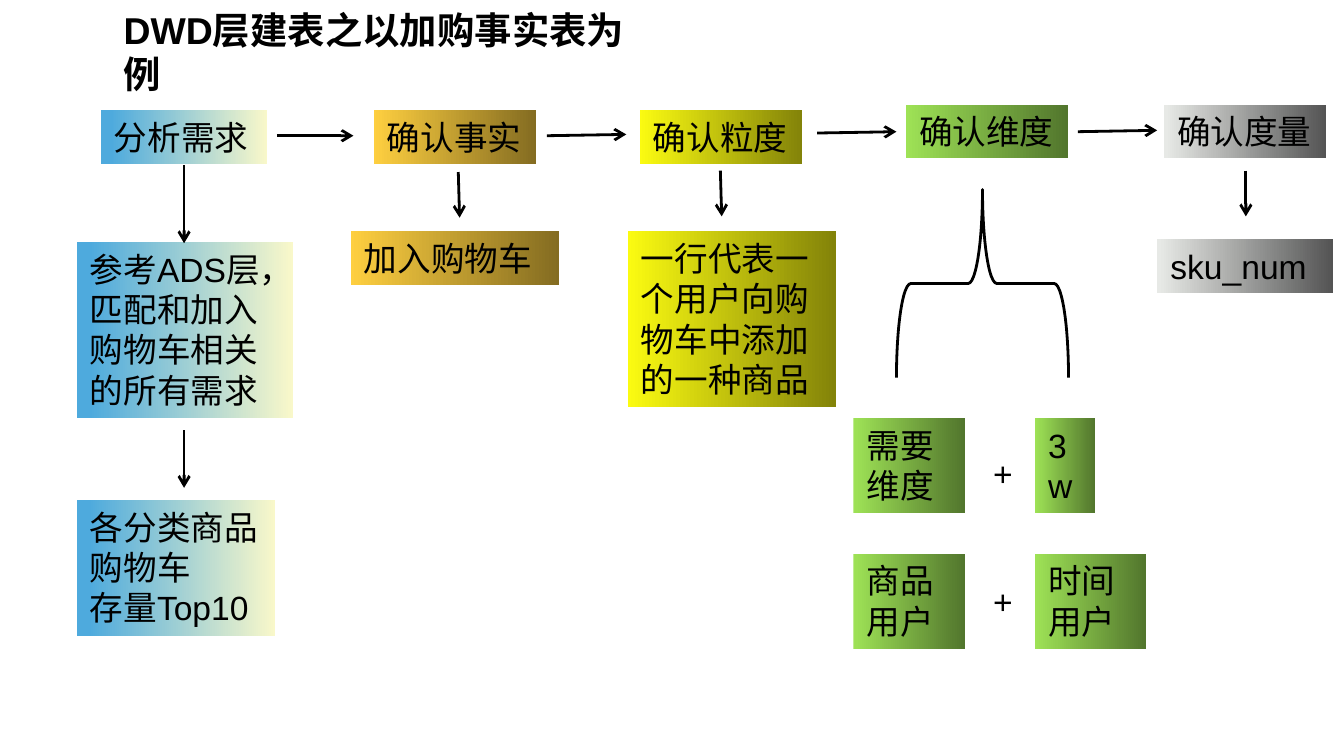
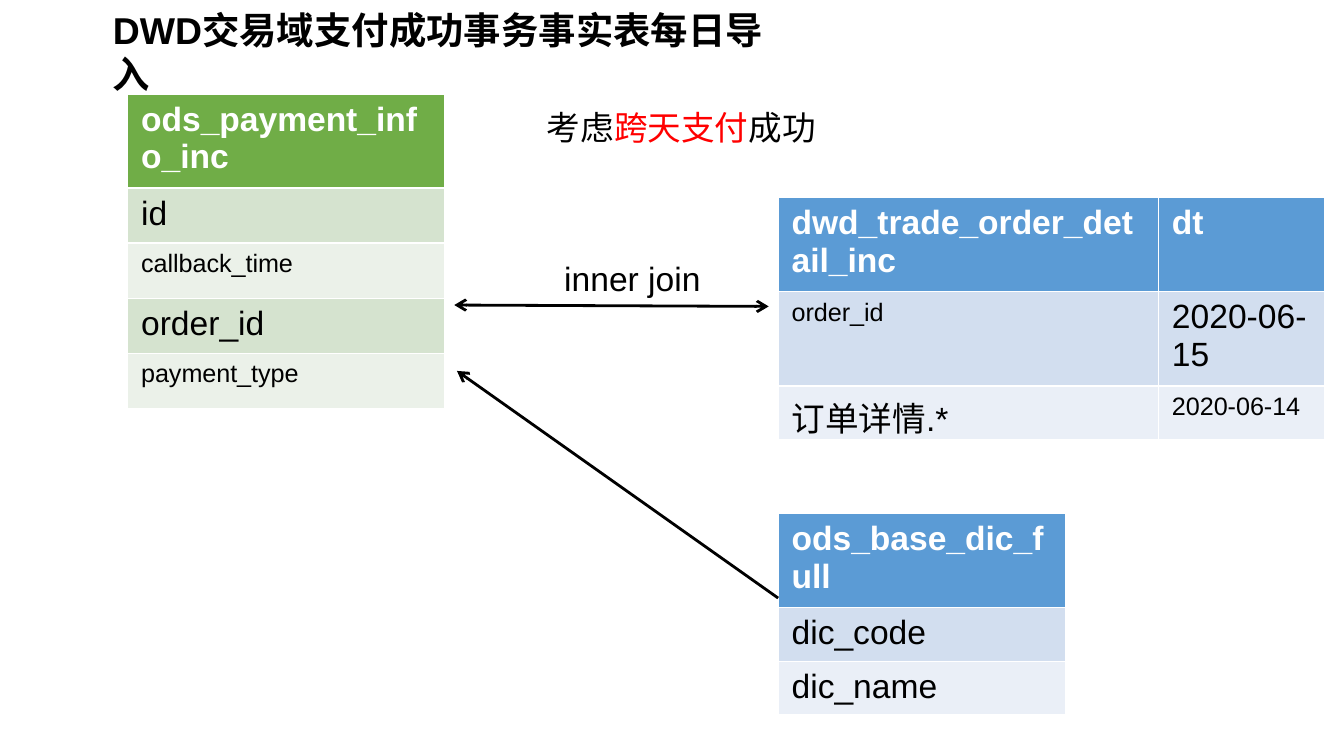
from dataclasses import dataclass
from typing import NamedTuple

from lxml import etree
from pptx import Presentation
from pptx import util as u
from pptx.dml.color import RGBColor
from pptx.enum import shapes, text
from pptx.oxml.ns import qn

COLUMNS, ROWS = 100, 56.25
UNIT = u.Inches(0.1)  # one grid column or row
TITLE_ONLY = 5


class Gradient(NamedTuple):
    start: str
    end: str
    offset: float = 0


class TablePalette(NamedTuple):
    header: str
    bands: tuple[str, str]


@dataclass(frozen=True)
class Theme:
    font: str = "Arial"
    ink: str = "000000"
    paper: str = "FFFFFF"
    accent: str = "FF0000"
    title_size: float = 20
    body_size: float = 18
    small_size: float = 13.5
    line_width: float = 1.5
    demand: Gradient = Gradient("4EAADD", "F9F8CA", 0.06)
    fact: Gradient = Gradient("FECF40", "846C21")
    grain: Gradient = Gradient("FBFB11", "838309")
    dimension: Gradient = Gradient("9EE256", "52762D")
    measure: Gradient = Gradient("E7E9E6", "545454", 0.01)
    green: TablePalette = TablePalette("70AD47", ("D5E3CF", "EBF1E9"))
    blue: TablePalette = TablePalette("5B9BD5", ("D2DEEF", "EAEFF7"))


THEME = Theme()


class Area(NamedTuple):
    """Left, top, width and height in grid columns and rows."""
    left: float
    top: float
    width: float
    height: float


class Box(NamedTuple):
    words: str
    area: Area
    gradient: Gradient | None = None


class Arrow(NamedTuple):
    start: tuple[float, float]
    end: tuple[float, float]
    two_way: bool = False


class Cell(NamedTuple):
    words: str
    small: bool = False


class FieldTable(NamedTuple):
    area: Area
    palette: TablePalette
    column_widths: tuple[float, ...]
    row_heights: tuple[float, ...]
    cells: tuple[tuple[Cell, ...], ...]


def grid(*lengths: float) -> list[int]:
    return [round(length * UNIT) for length in lengths]


def rgb(value: str) -> RGBColor:
    return RGBColor.from_string(value)


def format_runs(frame, size: float, color: str = THEME.ink, bold: bool = False) -> None:
    for paragraph in frame.paragraphs:
        paragraph.alignment = text.PP_ALIGN.LEFT
        for run in paragraph.runs:
            run.font.name = THEME.font
            run.font.size = u.Pt(size)
            run.font.bold = bold
            run.font.color.rgb = rgb(color)


def fit_frame(frame) -> None:
    """Wrap the text from the top and let the shape grow with it."""
    frame.word_wrap = True
    frame.vertical_anchor = text.MSO_ANCHOR.TOP
    frame.auto_size = text.MSO_AUTO_SIZE.SHAPE_TO_FIT_TEXT


def add_titled_slide(presentation, title: str, area: Area):
    slide = presentation.slides.add_slide(presentation.slide_layouts[TITLE_ONLY])
    shape = slide.shapes.title
    shape.left, shape.top, shape.width, shape.height = grid(*area)
    shape.text_frame.text = title
    fit_frame(shape.text_frame)
    format_runs(shape.text_frame, THEME.title_size, bold=True)
    return slide


def add_box(slide, box: Box):
    """Draw a gradient box, or a plain text box when there is no gradient."""
    if box.gradient is None:
        shape = slide.shapes.add_textbox(*grid(*box.area))
    else:
        shape = slide.shapes.add_shape(shapes.MSO_SHAPE.RECTANGLE, *grid(*box.area))
        shape.shadow.inherit = False
        shape.line.fill.background()
        shape.fill.gradient()
        shape.fill.gradient_angle = 0
        first, last = shape.fill.gradient_stops
        first.color.rgb, first.position = rgb(box.gradient.start), box.gradient.offset
        last.color.rgb, last.position = rgb(box.gradient.end), 1
    shape.text_frame.text = box.words
    fit_frame(shape.text_frame)
    format_runs(shape.text_frame, THEME.body_size)
    return shape


def style_line(line) -> None:
    line.color.rgb = rgb(THEME.ink)
    line.width = u.Pt(THEME.line_width)


def add_arrow(slide, arrow: Arrow) -> None:
    connector = slide.shapes.add_connector(
        shapes.MSO_CONNECTOR.STRAIGHT, *grid(*arrow.start, *arrow.end))
    style_line(connector.line)
    line = connector.line._get_or_add_ln()
    for end in ("a:headEnd", "a:tailEnd") if arrow.two_way else ("a:tailEnd",):
        etree.SubElement(line, qn(end), type="arrow")
    etree.SubElement(connector._element.spPr, qn("a:effectLst"))


def add_brace(slide, area: Area) -> None:
    brace = slide.shapes.add_shape(shapes.MSO_SHAPE.LEFT_BRACE, *grid(*area))
    brace.rotation = 90
    brace.shadow.inherit = False
    brace.fill.background()
    style_line(brace.line)


def add_field_table(slide, spec: FieldTable) -> None:
    table = slide.shapes.add_table(
        len(spec.row_heights), len(spec.column_widths), *grid(*spec.area)).table
    for column, width in zip(table.columns, grid(*spec.column_widths)):
        column.width = width
    for row, height in zip(table.rows, grid(*spec.row_heights)):
        row.height = height
    for row_index, row_cells in enumerate(spec.cells):
        header = row_index == 0
        fill = spec.palette.header if header else spec.palette.bands[(row_index - 1) % 2]
        for column_index, content in enumerate(row_cells):
            cell = table.cell(row_index, column_index)
            cell.fill.solid()
            cell.fill.fore_color.rgb = rgb(fill)
            cell.text_frame.text = content.words
            format_runs(cell.text_frame,
                        THEME.small_size if content.small else THEME.body_size,
                        THEME.paper if header else THEME.ink, bold=header)


def build_modelling_slide(presentation) -> None:
    slide = add_titled_slide(presentation, "DWD层建表之以加购事实表为例", Area(8.2, 0, 42, 4.4))
    line, two_lines, step = 4, 7.1, 12.1
    need_left, extra_left, plus_left = 63.5, 77, 72.9
    need_top, example_top = 31.1, 41.2
    boxes = (
        Box("分析需求", Area(7.5, 8.2, 12.4, line), THEME.demand),
        Box("确认事实", Area(27.8, 8.2, step, line), THEME.fact),
        Box("确认粒度", Area(47.6, 8.2, step, line), THEME.grain),
        Box("确认维度", Area(67.4, 7.8, step, line), THEME.dimension),
        Box("确认度量", Area(86.6, 7.8, step, line), THEME.measure),
        Box("参考ADS层，匹配和加入购物车相关的所有需求", Area(5.7, 18, 16.1, 13.1), THEME.demand),
        Box("各分类商品\n购物车\n存量Top10", Area(5.7, 37.2, 14.8, 10.1), THEME.demand),
        Box("加入购物车", Area(26.1, 17.2, 15.5, line), THEME.fact),
        Box("一行代表一个用户向购物车中添加的一种商品", Area(46.7, 17.2, 15.5, 13.1), THEME.grain),
        Box("sku_num", Area(86.1, 17.8, 13.1, line), THEME.measure),
        Box("需要维度", Area(need_left, need_top, 8.3, two_lines), THEME.dimension),
        Box("3w", Area(extra_left, need_top, 4.5, two_lines), THEME.dimension),
        Box("商品用户", Area(need_left, example_top, 8.3, two_lines), THEME.dimension),
        Box("时间用户", Area(extra_left, example_top, 8.3, two_lines), THEME.dimension),
        Box("+", Area(plus_left, 33.2, 4.1, line)),
        Box("+", Area(plus_left, 42.7, 4.1, line)),
    )
    arrows = (
        Arrow((20.6, 10.1), (26.3, 10.1)),
        Arrow((40.7, 10.1), (46.6, 10)),
        Arrow((60.8, 9.9), (66.7, 9.8)),
        Arrow((80.2, 9.8), (86.1, 9.7)),
        Arrow((13.7, 12.3), (13.7, 18.1)),
        Arrow((13.7, 32), (13.7, 36.3)),
        Arrow((34.1, 12.8), (34.2, 16.2)),
        Arrow((53.6, 12.7), (53.7, 16.1)),
        Arrow((92.7, 12.7), (92.7, 16.1)),
    )
    for box in boxes:
        add_box(slide, box)
    for arrow in arrows:
        add_arrow(slide, arrow)
    add_brace(slide, Area(66.1, 14.7, 14, 12.8))


def build_import_slide(presentation) -> None:
    slide = add_titled_slide(
        presentation, "DWD交易域支付成功事务事实表每日导入", Area(7.4, 0, 53.1, 4.4))
    right_tables = 57.9
    tables = (
        FieldTable(Area(right_tables, 38.2, 21.4, 12.5), THEME.blue, (21.4,), (5.3, 3.6, 3.6), (
            (Cell("ods_base_dic_full"),),
            (Cell("dic_code"),),
            (Cell("dic_name"),),
        )),
        FieldTable(Area(9.5, 7, 23.6, 21.7), THEME.green, (23.6,), (5.3,) + (4.1,) * 4, (
            (Cell("ods_payment_info_inc"),),
            (Cell("id"),),
            (Cell("callback_time", small=True),),
            (Cell("order_id"),),
            (Cell("payment_type", small=True),),
        )),
        FieldTable(Area(right_tables, 14.7, 40.7, 14), THEME.blue, (28.3, 12.4), (6, 4, 4), (
            (Cell("dwd_trade_order_detail_inc"), Cell("dt")),
            (Cell("order_id", small=True), Cell("2020-06-15")),
            (Cell("订单详情.*"), Cell("2020-06-14", small=True)),
        )),
    )
    for table in tables:
        add_field_table(slide, table)
    add_arrow(slide, Arrow((33.8, 22.7), (57.2, 22.8), two_way=True))
    add_arrow(slide, Arrow((right_tables, 44.5), (34, 27.6)))
    add_box(slide, Box("inner join", Area(41, 18.7, 12.3, 4)))

    note = add_box(slide, Box("考虑", Area(39.7, 7.5, 25.8, 4)))
    paragraph = note.text_frame.paragraphs[0]
    for words in ("跨天支付", "成功"):
        paragraph.add_run().text = words
    format_runs(note.text_frame, THEME.body_size)
    paragraph.runs[1].font.color.rgb = rgb(THEME.accent)


def main() -> None:
    presentation = Presentation()
    presentation.slide_width, presentation.slide_height = grid(COLUMNS, ROWS)
    build_modelling_slide(presentation)
    build_import_slide(presentation)
    presentation.save("out.pptx")


if __name__ == "__main__":
    main()
